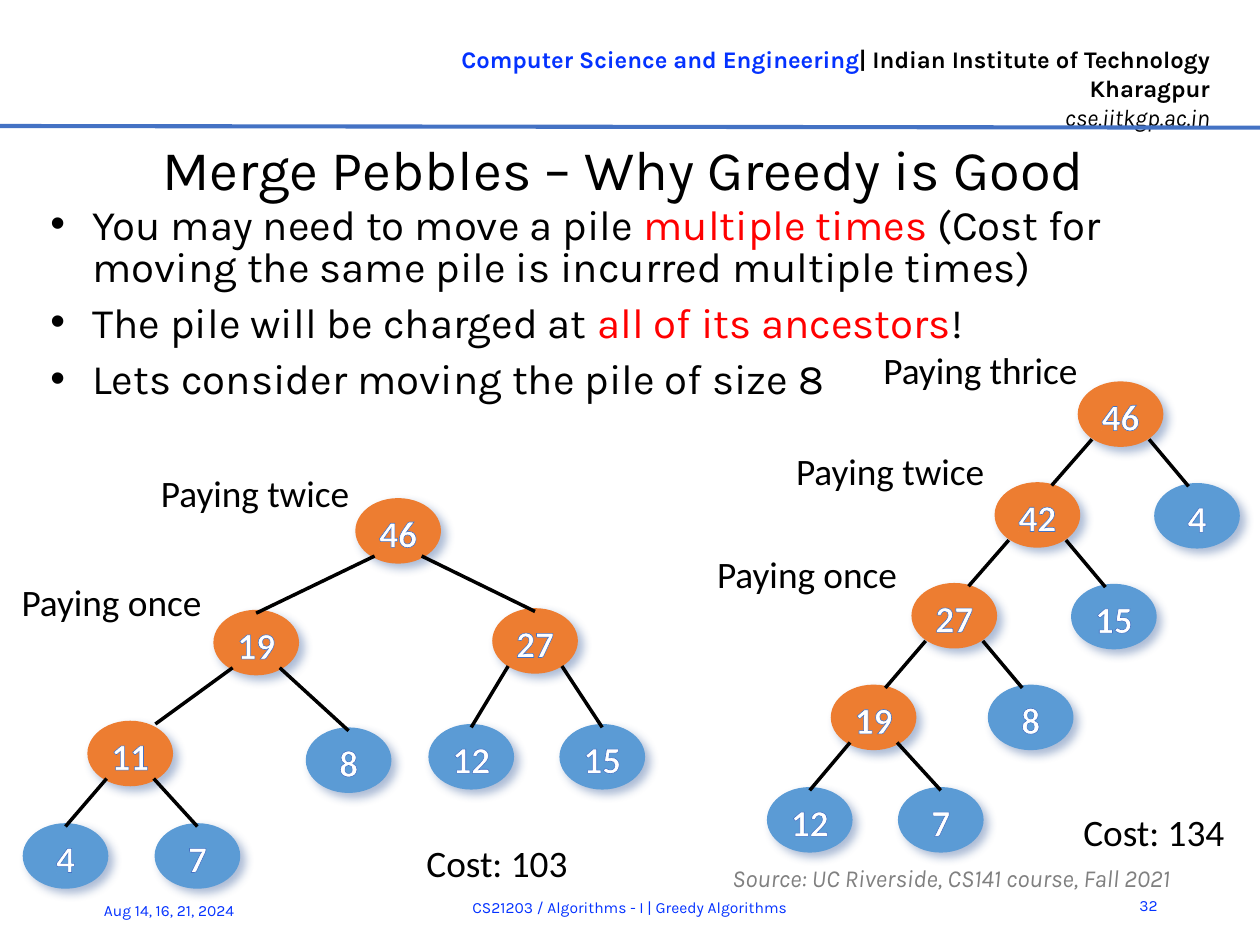
import collections
import dataclasses

import lxml.etree
import pptx
import pptx.dml.color
import pptx.enum.shapes
import pptx.enum.text
import pptx.oxml
import pptx.oxml.ns
import pptx.util

ALIGN = pptx.enum.text.PP_ALIGN
ANCHOR = pptx.enum.text.MSO_ANCHOR
NAMESPACE = 'xmlns:a="http://schemas.openxmlformats.org/drawingml/2006/main"'

Box = collections.namedtuple("Box", "left top width height")
Node = collections.namedtuple("Node", "value right down children landing spread",
                              defaults=((), 0, 1.4))


@dataclasses.dataclass(frozen=True)
class Theme:
    """Grid cell, colours, fonts and type sizes of the slide."""
    cell: float = 0.1
    text_font: str = "Karla"
    tree_font: str = "Calibri"
    black: str = "000000"
    white: str = "FFFFFF"
    accent: str = "0432FF"
    highlight: str = "FF0000"
    muted: str = "808080"
    rule: str = "4472C4"
    merged: str = "ED7D31"
    leaf: str = "5B9BD5"
    shadow: str = "2F5597"
    title: float = 24
    body: float = 18
    tree: float = 16
    source: float = 10.5
    header: float = 10.2
    footer: float = 6.7


THEME = Theme()


def grid(cells):
    """Turn a number of grid cells into a length."""
    return pptx.util.Inches(round(cells * THEME.cell, 3))


def rgb(color):
    """Turn a hex string into a colour."""
    return pptx.dml.color.RGBColor.from_string(color)


def write(paragraph, text, size=THEME.tree, color=THEME.black, font=THEME.tree_font,
          bold=False, italic=False, align=ALIGN.LEFT):
    """Add a formatted run to a paragraph and return the run."""
    paragraph.alignment = align
    run = paragraph.add_run()
    run.text = text
    run.font.size, run.font.name = pptx.util.Pt(size), font
    run.font.bold, run.font.italic = bold, italic
    run.font.color.rgb = rgb(color)
    return run


def place(shape, box):
    """Move a shape into a box of grid cells."""
    shape.left, shape.top, shape.width, shape.height = map(grid, box)


def add_text_box(slide, box, anchor=ANCHOR.TOP, wrap=True):
    """Add an empty text box and return its text frame."""
    frame = slide.shapes.add_textbox(*map(grid, box)).text_frame
    frame.word_wrap, frame.vertical_anchor = wrap, anchor
    return frame


def add_line(slide, start, end, color=THEME.black, width=1.5):
    """Draw a straight line without shadow between two grid points."""
    line = slide.shapes.add_connector(
        pptx.enum.shapes.MSO_CONNECTOR.STRAIGHT, *map(grid, (*start, *end)))
    line.line.color.rgb, line.line.width = rgb(color), pptx.util.Pt(width)
    lxml.etree.SubElement(line._element.spPr, pptx.oxml.ns.qn("a:effectLst"))


def draw_header(slide, box):
    """Write the department lines and the rule below them."""
    frame = add_text_box(slide, Box(box.left + 19.4, box.top + 2.2, 53.6, 4.4))
    style = dict(size=THEME.header, font=THEME.text_font, align=ALIGN.RIGHT)
    department = frame.paragraphs[0]
    write(department, "Computer Science and Engineering", color=THEME.accent, bold=True, **style)
    write(department, "| Indian Institute of Technology Kharagpur", bold=True, **style)
    write(frame.add_paragraph(), "cse.iitkgp.ac.in", italic=True, **style)
    bottom = box.top + box.height
    add_line(slide, (box.left, bottom - 0.1), (box.left + box.width, bottom), THEME.rule, 1.75)


def draw_content(slide, box, title, bullets):
    """Fill the title and the bulleted body placeholder."""
    heading, body = slide.shapes.title, slide.placeholders[1]
    place(heading, Box(box.left + 0.4, box.top, 69.4, 4.1))
    place(body, Box(box.left, box.top + 3.9, box.width, box.height - 3.9))
    for shape, anchor in ((heading, ANCHOR.MIDDLE), (body, ANCHOR.TOP)):
        shape.text_frame.auto_size = pptx.enum.text.MSO_AUTO_SIZE.NONE
        shape.text_frame.vertical_anchor = anchor
    frame = heading.text_frame
    frame.margin_left = frame.margin_right = frame.margin_bottom = 0
    frame.margin_top = grid(0.1)
    write(frame.paragraphs[0], title, THEME.title, font=THEME.text_font, align=ALIGN.CENTER)
    for index, pieces in enumerate(bullets):
        paragraph = body.text_frame.add_paragraph() if index else body.text_frame.paragraphs[0]
        paragraph.line_spacing = pptx.util.Pt(18)
        paragraph.space_before = pptx.util.Pt(3 if index else 0)
        paragraph.space_after = pptx.util.Pt(3)
        properties = paragraph._p.get_or_add_pPr()
        properties.set("marL", str(grid(2.5)))
        properties.set("indent", str(-grid(2.5)))
        for tag, key, value in (("a:buFont", "typeface", "Arial"), ("a:buChar", "char", "•")):
            lxml.etree.SubElement(properties, pptx.oxml.ns.qn(tag)).set(key, value)
        for position, piece in enumerate(pieces):
            color = THEME.highlight if position % 2 else THEME.black
            write(paragraph, piece, THEME.body, color, THEME.text_font)


def draw_node(slide, node, left, top):
    """Draw a pile as an ellipse, with its subtree and the edges to it."""
    x, y = left + node.right, top + node.down
    for child in node.children:
        draw_node(slide, child, x, y)
    ellipse = slide.shapes.add_shape(pptx.enum.shapes.MSO_SHAPE.OVAL,
                                     *map(grid, (x - 2.55, y - 1.95, 5.1, 3.9)))
    ellipse.shadow.inherit = False
    ellipse.fill.solid()
    ellipse.fill.fore_color.rgb = rgb(THEME.merged if node.children else THEME.leaf)
    ellipse.line.fill.background()
    ellipse._element.spPr.find(pptx.oxml.ns.qn("a:effectLst")).append(pptx.oxml.parse_xml(
        f'<a:outerShdw {NAMESPACE} blurRad="50800" dist="38100" dir="2700000" algn="tl" '
        f'rotWithShape="0"><a:srgbClr val="{THEME.shadow}"><a:alpha val="40000"/>'
        '</a:srgbClr></a:outerShdw>'))
    frame = ellipse.text_frame
    frame.margin_left = frame.margin_right = frame.margin_bottom = 0
    frame.margin_top = grid(0.2)
    frame.word_wrap, frame.vertical_anchor = False, ANCHOR.MIDDLE
    run = write(frame.paragraphs[0], str(node.value), color=THEME.white, bold=True,
                align=ALIGN.CENTER)
    run._r.get_or_add_rPr().insert(0, pptx.oxml.parse_xml(
        f'<a:ln {NAMESPACE} w="10160"><a:solidFill><a:srgbClr val="{THEME.rule}"/>'
        '</a:solidFill></a:ln>'))
    for child in node.children:
        side = node.spread if child.right > 0 else -node.spread
        add_line(slide, (x + side, y + 1.5),
                 (x + child.right + child.landing, y + child.down - 1.75))


def draw_tree(slide, box, root, labels):
    """Draw a merge tree and its labels, measured from the corner of the box."""
    draw_node(slide, root, box.left, box.top)
    for text, right, down, width in labels:
        frame = add_text_box(slide, Box(box.left + right, box.top + down, width, 3.7), wrap=False)
        write(frame.paragraphs[0], text)


def draw_footer(slide, box):
    """Write the source line, date, course and slide number."""
    frame = add_text_box(slide, Box(box.left + 42.6, box.top, 31.8, 2), ANCHOR.MIDDLE)
    frame.paragraphs[0].line_spacing = pptx.util.Pt(18)
    write(frame.paragraphs[0], "Source: UC Riverside, CS141 course, Fall 2021",
          THEME.source, THEME.muted, THEME.text_font, italic=True)
    for text, right, down, width, align in (
            ("Aug 14, 16, 21, 2024", 5.2, 1.8, 13.1, ALIGN.LEFT),
            ("CS21203 / Algorithms - I | Greedy Algorithms", 12.4, 1.6, 50.2, ALIGN.CENTER),
            ("32", 66.2, 1.5, 3.7, ALIGN.RIGHT)):
        frame = add_text_box(slide, Box(box.left + right, box.top + down, width, 3), ANCHOR.MIDDLE)
        write(frame.paragraphs[0], text, THEME.footer, THEME.accent, THEME.text_font, align=align)


def main():
    """Build the slide and save it."""
    presentation = pptx.Presentation()
    presentation.slide_width, presentation.slide_height = grid(75), grid(56.25)
    slide = presentation.slides.add_slide(presentation.slide_layouts[1])
    draw_header(slide, Box(0, 0, 75, 7.6))
    draw_content(slide, Box(2, 7.9, 70.3, 44.4), "Merge Pebbles – Why Greedy is Good", (
        ("You may need to move a pile ", "multiple times",
         " (Cost for moving the same pile is incurred multiple times)"),
        ("The pile will be charged at ", "all of its ancestors", "!"),
        ("Lets consider moving the pile of size 8",)))
    draw_footer(slide, Box(0, 50.9, 75, 5.3))
    eleven = Node(11, -7.5, 6.6, (Node(4, -3.85, 6.1), Node(7, 4, 6.1)), 1.5)
    balanced = Node(46, 23.7, 4.6, (
        Node(19, -8.45, 6.65, (eleven, Node(8, 5.5, 7))),
        Node(27, 8.15, 6.55, (Node(12, -3.8, 6.9), Node(15, 4, 6.9)), 0, 1.6)))
    draw_tree(slide, Box(0, 27, 39, 26), balanced, (
        ("Cost: 103", 24.4, 22.5, 10.5), ("Paying once", 0.3, 7, 12.9),
        ("Paying twice", 8.6, 0.5, 13.6)))
    chain = Node(19, -4.8, 6.05, (Node(12, -3.8, 6.1), Node(7, 4, 6.1)), 0.7)
    for total, leaf in ((27, 8), (42, 15), (46, 4)):
        chain = Node(total, -4.95, 6, (chain, Node(leaf, 4.55, 6.05, (), -0.5)), 0.85, 1.7)
    draw_tree(slide, Box(41, 20, 34, 32), chain._replace(right=25.7, down=4.65), (
        ("Cost: 134", 22.5, 27.7, 10.5), ("Paying once", 0.7, 12.3, 12.9),
        ("Paying twice", 5.4, 6.2, 13.6), ("Paying thrice", 10.6, 0.2, 13.9)))
    presentation.save("out.pptx")


if __name__ == "__main__":
    main()
